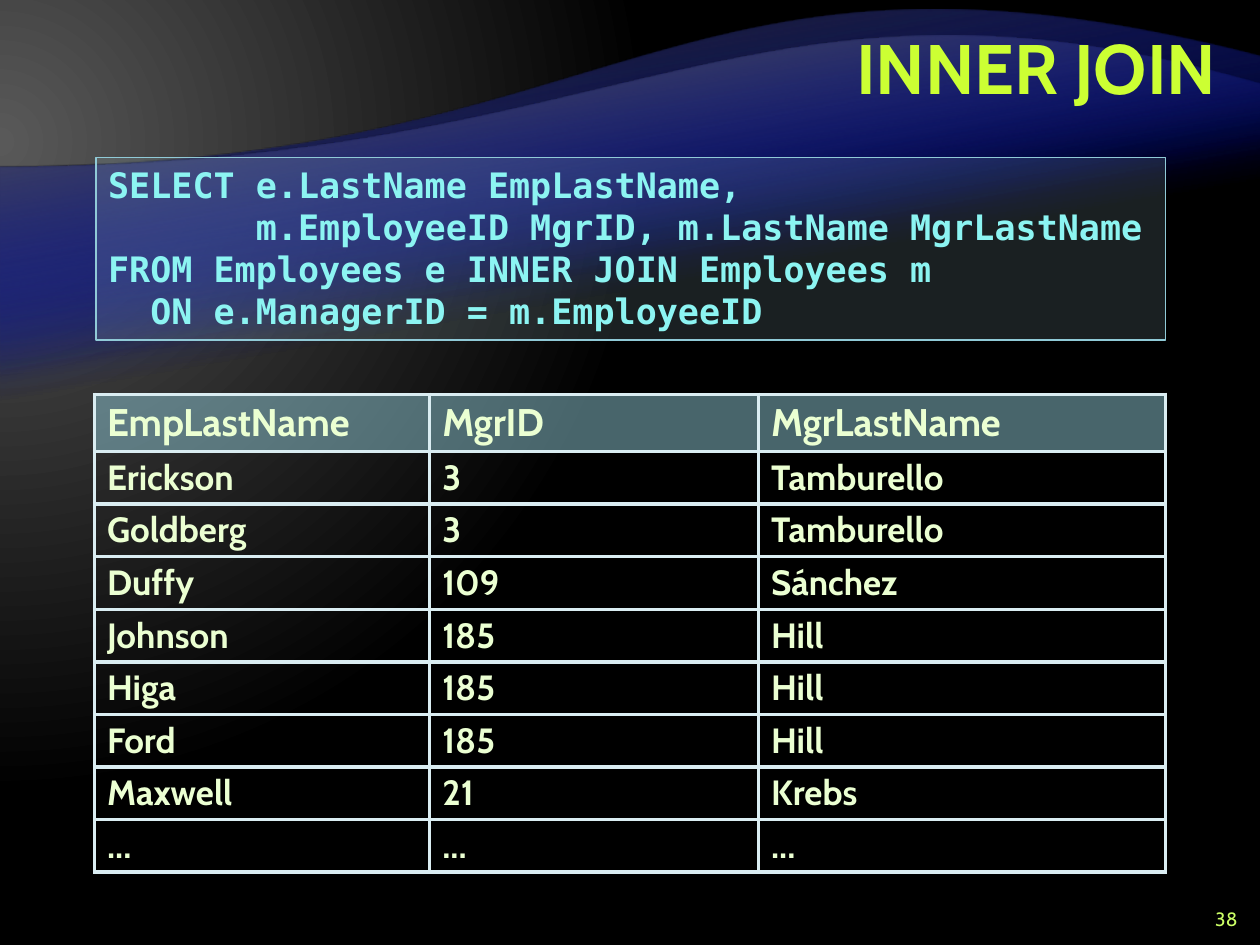
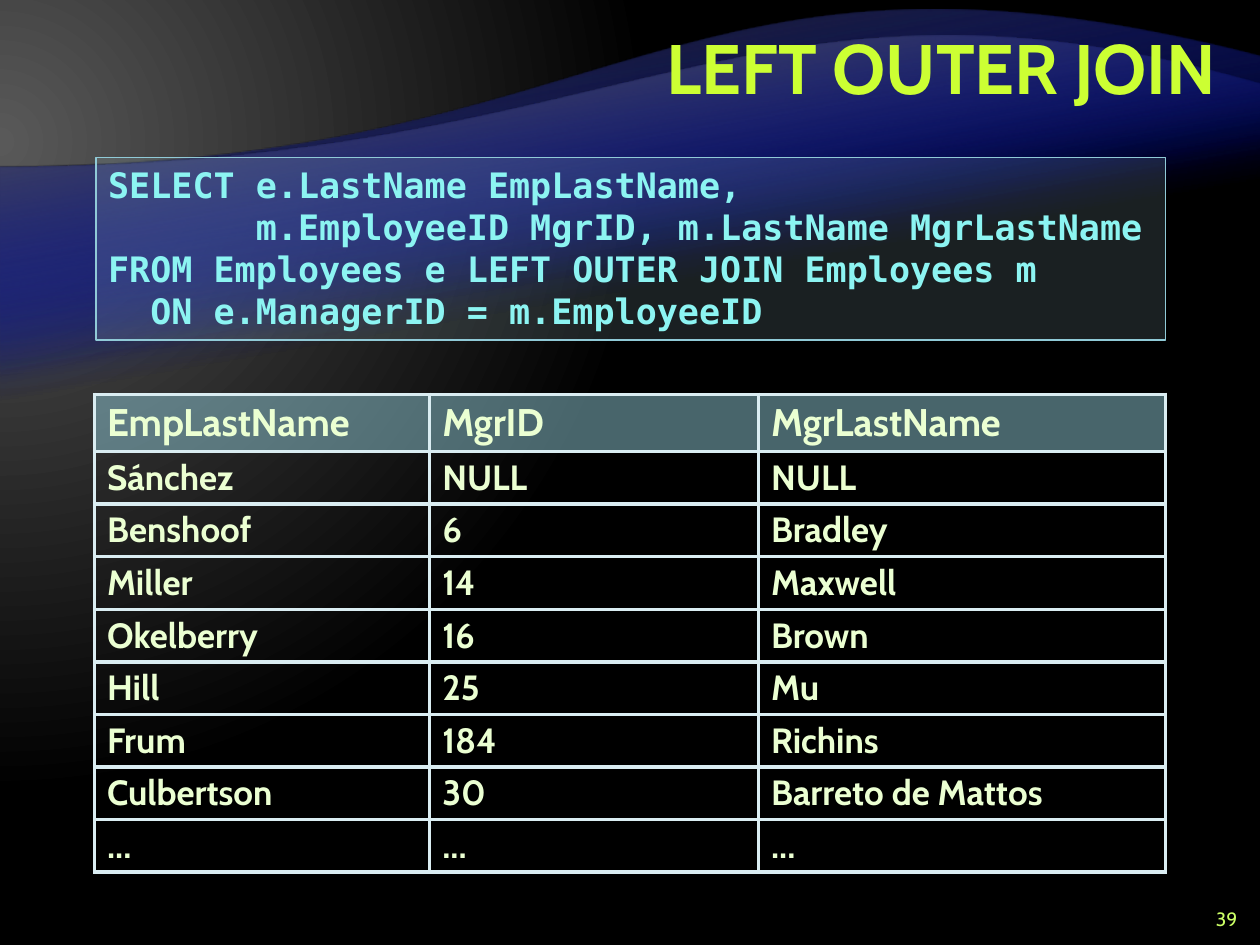
from collections import namedtuple

from lxml import etree
from pptx import Presentation
from pptx import util as u
from pptx.dml.color import RGBColor
from pptx.enum import shapes, text
from pptx.oxml import parse_xml
from pptx.oxml.ns import nsdecls, qn

COLORS = {
    "glow": "595959", "night": "000000", "wave": "000D9E", "crest": "262626",
    "title": "CCFF33", "number": "CCFF66", "code": "8CF4F2", "panel": "B5DBE5",
    "frame": "90CAD7", "grid": "DAEDF2", "cell": "EBFFD2",
}
SANS, MONO = "Cabin", "DejaVu Sans Mono"
COLUMNS, ROWS = 40, 30
CELL = u.Inches(0.25)
UNITS = 100

Box = namedtuple("Box", "col row cols rows")
TITLE = Box(8, 0.32, 31, 4)
NUMBER = Box(37.68, 28.68, 2, 1)
QUERY = Box(3.04, 5, 33.96, 5.8)
RESULT = Box(3, 12.52, 34, 15.12)
COLUMN_SHARES = (0.313, 0.307, 0.38)
HEADER_SHARE = 0.12

Wave = namedtuple("Wave", "right_row bottom_row handle_col handle_row crest")
WAVES = [
    Wave(1.8, 26.12, 21.36, -3, "crest"),
    Wave(2.68, 22.28, 23.92, -1.96, "glow"),
] * 2
WAVE_LEFT_ROW = 5.32

HEADINGS = ("EmpLastName", "MgrID", "MgrLastName")
ELLIPSIS = ("...",) * 3
JOINS = [
    (38, "INNER JOIN", [
        ("Erickson", "3", "Tamburello"),
        ("Goldberg", "3", "Tamburello"),
        ("Duffy", "109", "Sánchez"),
        ("Johnson", "185", "Hill"),
        ("Higa", "185", "Hill"),
        ("Ford", "185", "Hill"),
        ("Maxwell", "21", "Krebs"),
    ]),
    (39, "LEFT OUTER JOIN", [
        ("Sánchez", "NULL", "NULL"),
        ("Benshoof", "6", "Bradley"),
        ("Miller", "14", "Maxwell"),
        ("Okelberry", "16", "Brown"),
        ("Hill", "25", "Mu"),
        ("Frum", "184", "Richins"),
        ("Culbertson", "30", "Barreto de Mattos"),
    ]),
]


def color(name):
    return RGBColor.from_string(COLORS[name])


def place(box):
    return [u.Emu(round(length * CELL)) for length in box]


def write(paragraph, words, size, tint, font=SANS, bold=True):
    run = paragraph.add_run()
    run.text = words
    run.font.name = font
    run.font.size = u.Pt(size)
    run.font.bold = bold
    run.font.color.rgb = color(tint)


def fade(properties, percent):
    tint = properties.find(qn("a:solidFill"))[0]
    etree.SubElement(tint, qn("a:alpha")).set("val", str(percent * 1000))


def gradient_xml(stops, direction):
    stop_xml = "".join(
        f'<a:gs pos="{position * 1000}"><a:srgbClr val="{COLORS[tint]}">'
        f'<a:alpha val="{opacity * 1000}"/></a:srgbClr></a:gs>'
        for position, tint, opacity in stops)
    return (f'<a:gradFill {nsdecls("a")} rotWithShape="1">'
            f"<a:gsLst>{stop_xml}</a:gsLst>{direction}</a:gradFill>")


def paint_background(master):
    glow = gradient_xml(
        [(0, "glow", 100), (83, "night", 100)],
        '<a:path path="circle"><a:fillToRect l="20000" t="30000" '
        'r="135000" b="100000"/></a:path>')
    content = master.element.find(qn("p:cSld"))
    old = content.find(qn("p:bg"))
    if old is not None:
        content.remove(old)
    content.insert(0, parse_xml(
        f'<p:bg {nsdecls("p", "a")}><p:bgPr>{glow}<a:effectLst/></p:bgPr></p:bg>'))


def add_wave(slide, wave):
    right, bottom, left = (
        round(row * UNITS) for row in (wave.right_row, wave.bottom_row, WAVE_LEFT_ROW))
    width = COLUMNS * UNITS
    builder = slide.shapes.build_freeform(width, bottom, scale=CELL / UNITS)
    builder.add_line_segments([(0, bottom), (0, left), (width, right)], close=True)
    shape = builder.convert_to_shape()
    shape.shadow.inherit = False
    shape.line.fill.background()
    shape.fill.background()

    properties = shape.element.spPr
    edge = list(properties.iter(qn("a:lnTo")))[2]
    curve = etree.Element(qn("a:cubicBezTo"))
    handle = (round(wave.handle_col * UNITS), round(wave.handle_row * UNITS))
    for x, y in ((width // 2, left), handle, (width, right)):
        etree.SubElement(curve, qn("a:pt"), x=str(x), y=str(y - right))
    edge.getparent().replace(edge, curve)

    tint = gradient_xml([(65, "wave", 0), (100, wave.crest, 100)],
                        f'<a:lin ang="{260 * 60000}" scaled="0"/>')
    properties.replace(properties.find(qn("a:noFill")), parse_xml(tint))


def add_label(slide, box, words, size, tint, bold, spacing=None):
    frame = slide.shapes.add_textbox(*place(box)).text_frame
    frame.word_wrap = True
    frame.vertical_anchor = text.MSO_ANCHOR.MIDDLE
    paragraph = frame.paragraphs[0]
    paragraph.alignment = text.PP_ALIGN.RIGHT
    paragraph.line_spacing = spacing
    write(paragraph, words, size, tint, bold=bold)


def add_query(slide, box, join):
    panel = slide.shapes.add_shape(shapes.MSO_SHAPE.RECTANGLE, *place(box))
    panel.shadow.inherit = False
    panel.fill.solid()
    panel.fill.fore_color.rgb = color("panel")
    fade(panel.element.spPr, 15)
    panel.line.color.rgb = color("frame")
    panel.line.width = u.Pt(1)
    frame = panel.text_frame
    frame.word_wrap = True
    frame.auto_size = text.MSO_AUTO_SIZE.SHAPE_TO_FIT_TEXT
    frame.vertical_anchor = text.MSO_ANCHOR.TOP
    lines = [
        "SELECT e.LastName EmpLastName,",
        "       m.EmployeeID MgrID, m.LastName MgrLastName",
        f"FROM Employees e {join} Employees m",
        "  ON e.ManagerID = m.EmployeeID",
    ]
    for index, line in enumerate(lines):
        paragraph = frame.add_paragraph() if index else frame.paragraphs[0]
        paragraph.alignment = text.PP_ALIGN.LEFT
        write(paragraph, line, 20, "code", MONO)


def add_borders(properties):
    for side in ("lnL", "lnR", "lnT", "lnB"):
        properties.append(parse_xml(
            f'<a:{side} {nsdecls("a")} w="{u.Pt(2.25)}"><a:solidFill>'
            f'<a:srgbClr val="{COLORS["grid"]}"/></a:solidFill></a:{side}>'))


def fill_cell(cell, words, is_header):
    properties = cell._tc.get_or_add_tcPr()
    add_borders(properties)
    if is_header:
        cell.fill.solid()
        cell.fill.fore_color.rgb = color("frame")
        fade(properties, 50)
    else:
        cell.fill.background()
    paragraph = cell.text_frame.paragraphs[0]
    paragraph.line_spacing = 0.95
    write(paragraph, words, 22 if is_header else 20, "cell")


def add_result(slide, box, records):
    rows = [HEADINGS, *records, ELLIPSIS]
    left, top, width, height = place(box)
    table = slide.shapes.add_table(
        len(rows), len(HEADINGS), left, top, width, height).table
    table.horz_banding = False
    for column, share in zip(table.columns, COLUMN_SHARES):
        column.width = round(width * share)
    header_height = round(height * HEADER_SHARE)
    body_height = (height - header_height) // (len(rows) - 1)
    for r, row in enumerate(rows):
        table.rows[r].height = body_height if r else header_height
        for c, words in enumerate(row):
            fill_cell(table.cell(r, c), words, r == 0)


def add_join_slide(deck, number, join, records):
    slide = deck.slides.add_slide(deck.slide_layouts[6])
    for wave in WAVES:
        add_wave(slide, wave)
    add_label(slide, TITLE, join, 40, "title", True, u.Pt(40))
    add_label(slide, NUMBER, str(number), 11, "number", False)
    add_query(slide, QUERY, join)
    add_result(slide, RESULT, records)


def main():
    deck = Presentation()
    deck.slide_width = COLUMNS * CELL
    deck.slide_height = ROWS * CELL
    paint_background(deck.slide_master)
    for number, join, records in JOINS:
        add_join_slide(deck, number, join, records)
    deck.save("out.pptx")


if __name__ == "__main__":
    main()
